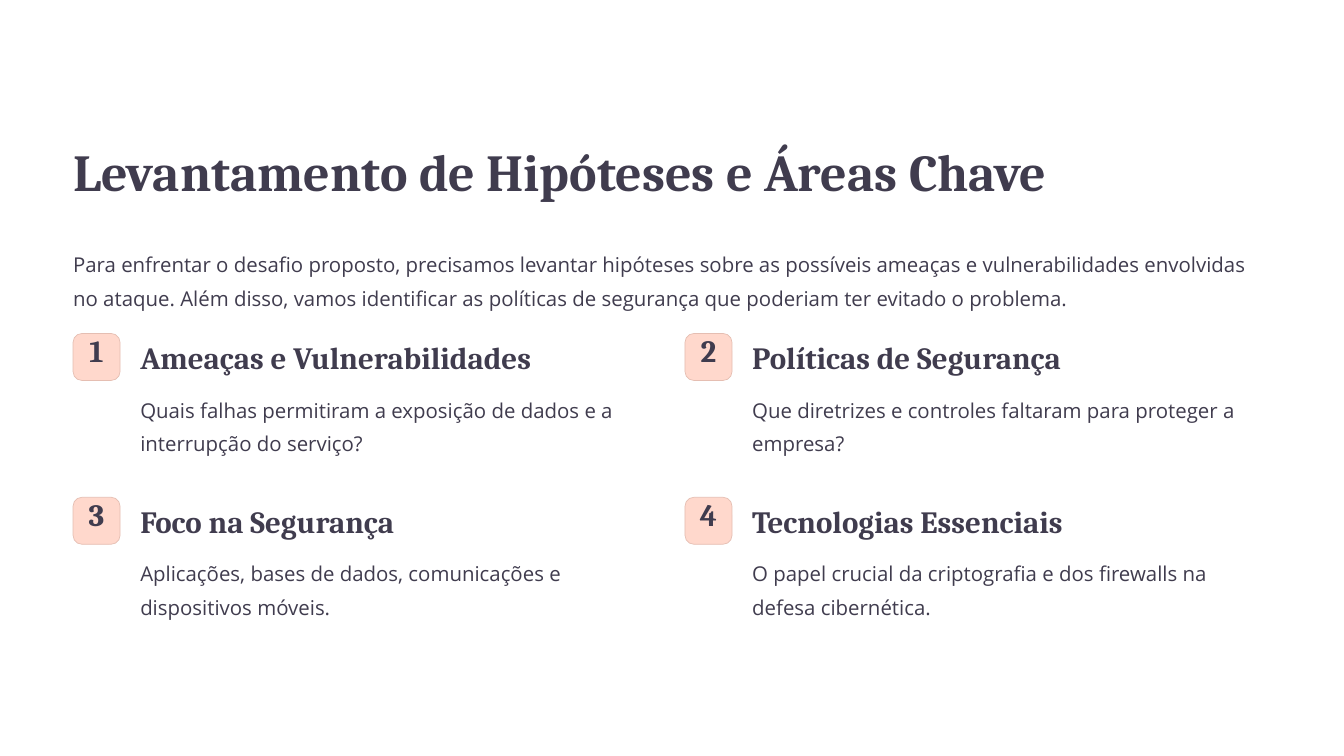
from pptx import Presentation
from pptx.dml.color import RGBColor
from pptx.enum.shapes import MSO_SHAPE as Shape
from pptx.enum.text import MSO_ANCHOR as Anchor, PP_ALIGN as Align
from pptx.util import Inches, Pt

INK = RGBColor(0x40, 0x3C, 0x4E)
PEACH = RGBColor(0xFF, 0xD8, 0xCC)
PEACH_EDGE = RGBColor(0xE5, 0xBE, 0xB2)
WHITE = RGBColor(0xFF, 0xFF, 0xFF)
SERIF, SANS = "Cambria", "Open Sans"

LEFT, CONTENT_WIDTH = 0.87, 14.26
GRID_TOP, COLUMN_STEP, ROW_STEP = 3.97, 7.285, 1.95
BADGE_SIZE, TEXT_INDENT, TOPIC_WIDTH = 0.56, 0.8, 6.97

TITLE = "Levantamento de Hipóteses e Áreas Chave"
INTRO = (
    "Para enfrentar o desafio proposto, precisamos levantar hipóteses sobre as "
    "possíveis ameaças e vulnerabilidades envolvidas no ataque. Além disso, vamos "
    "identificar as políticas de segurança que poderiam ter evitado o problema."
)
# Heading, heading width, question
TOPICS = [
    ("Ameaças e Vulnerabilidades", 5.11,
     "Quais falhas permitiram a exposição de dados e a interrupção do serviço?"),
    ("Políticas de Segurança", 4.11,
     "Que diretrizes e controles faltaram para proteger a empresa?"),
    ("Foco na Segurança", 3.72,
     "Aplicações, bases de dados, comunicações e dispositivos móveis."),
    ("Tecnologias Essenciais", 4.24,
     "O papel crucial da criptografia e dos firewalls na defesa cibernética."),
]


def add_text(page, left, top, width, height, text, size, leading,
             font=SERIF, align=Align.LEFT):
    """Serif text is a bold one-line heading; sans text wraps as body copy."""
    box = page.shapes.add_textbox(Inches(left), Inches(top), Inches(width), Inches(height))
    frame = box.text_frame
    frame.margin_left = frame.margin_right = frame.margin_top = frame.margin_bottom = 0
    frame.vertical_anchor = Anchor.TOP
    frame.word_wrap = font == SANS
    para = frame.paragraphs[0]
    para.alignment = align
    para.line_spacing = Pt(leading)
    span = para.add_run()
    span.text = text
    span.font.name = font
    span.font.size = Pt(size)
    span.font.bold = font == SERIF
    span.font.color.rgb = INK


def add_header(page, left, top, width):
    add_text(page, left, top, 12.83, 0.78, TITLE, 44.5, 55.5)
    add_text(page, left, top + 1.27, width, 0.79, INTRO, 17.5, 28.5, SANS)


def add_badge(page, left, top, number):
    badge = page.shapes.add_shape(Shape.ROUNDED_RECTANGLE, Inches(left), Inches(top),
                                  Inches(BADGE_SIZE), Inches(BADGE_SIZE))
    badge.adjustments[0] = 0.19
    badge.shadow.inherit = False
    badge.fill.solid()
    badge.fill.fore_color.rgb = PEACH
    badge.line.color.rgb = PEACH_EDGE
    badge.line.width = Pt(0.6)
    inset = 0.095
    add_text(page, left + inset, top + 0.05, BADGE_SIZE - 2 * inset, 0.47,
             str(number), 26.5, 26.5, align=Align.CENTER)


def add_topic(page, left, top, width, number, heading, heading_width, question):
    add_badge(page, left, top, number)
    text_left = left + TEXT_INDENT
    add_text(page, text_left, top + 0.05, heading_width, 0.47, heading, 26.5, 33)
    add_text(page, text_left, top + 0.66, width - TEXT_INDENT, 0.79,
             question, 17.5, 28.5, SANS)


def add_topic_grid(page, left, top):
    for index, topic in enumerate(TOPICS):
        row, column = divmod(index, 2)
        add_topic(page, left + column * COLUMN_STEP, top + row * ROW_STEP,
                  TOPIC_WIDTH, index + 1, *topic)


def main():
    deck = Presentation()
    deck.slide_width, deck.slide_height = Inches(16), Inches(9)
    page = deck.slides.add_slide(deck.slide_layouts[6])
    page.background.fill.solid()
    page.background.fill.fore_color.rgb = WHITE
    add_header(page, LEFT, 1.63, CONTENT_WIDTH)
    add_topic_grid(page, LEFT, GRID_TOP)
    deck.save("out.pptx")


if __name__ == "__main__":
    main()
